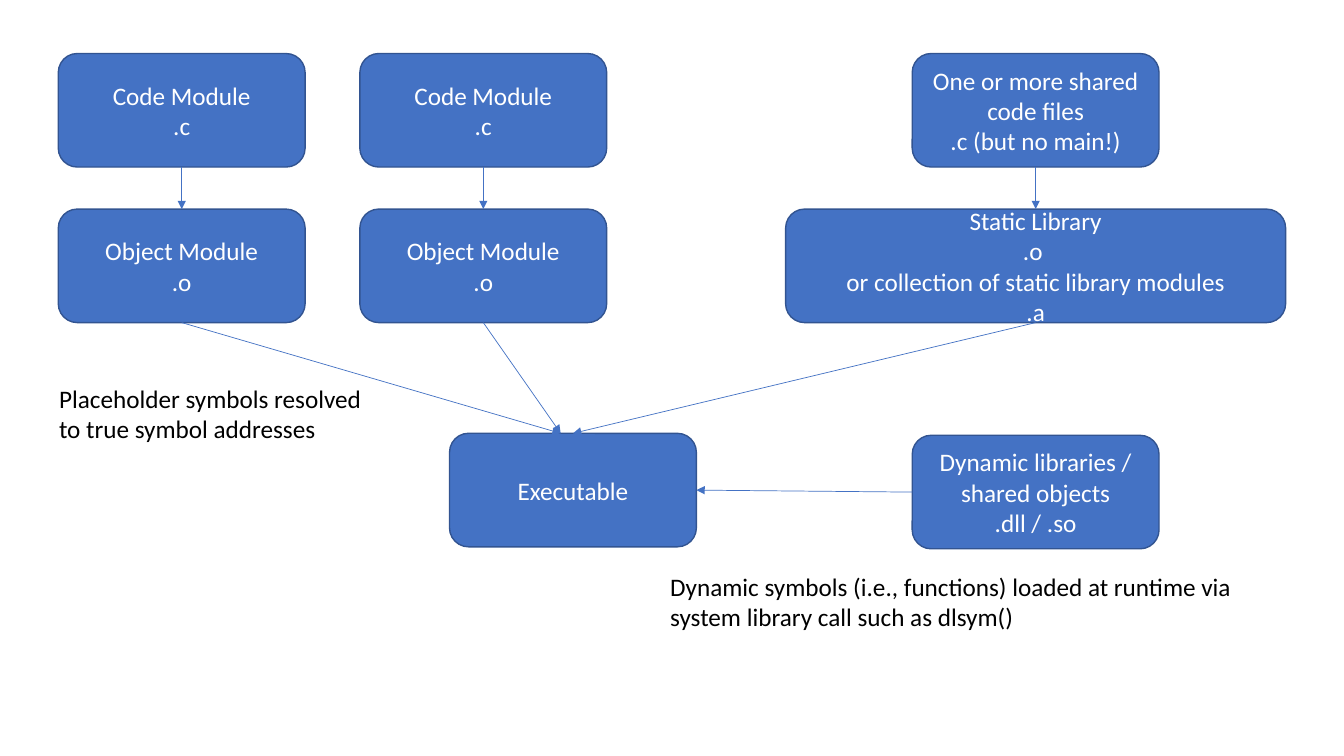
from lxml import etree
from pptx import Presentation
from pptx.dml.color import RGBColor
from pptx.enum.shapes import MSO_CONNECTOR, MSO_SHAPE
from pptx.enum.text import MSO_ANCHOR, MSO_AUTO_SIZE, PP_ALIGN
from pptx.oxml.ns import qn
from pptx.util import Cm, Pt

ROUNDED = MSO_SHAPE.ROUNDED_RECTANGLE
STRAIGHT = MSO_CONNECTOR.STRAIGHT
MIDDLE = MSO_ANCHOR.MIDDLE
LEFT, CENTER = PP_ALIGN.LEFT, PP_ALIGN.CENTER
TOP_SITE, LEFT_SITE, BOTTOM_SITE, RIGHT_SITE = range(4)

COLORS = {"box": "4472C4", "border": "325491", "light": "FFFFFF", "dark": "000000"}
FONT, FONT_SIZE = "Calibri", Pt(18)

# Content: measures in centimetres
BOX_WIDTH, WIDE_WIDTH, BOX_HEIGHT = 6.22, 12.6, 2.86
FIRST, SECOND, LIBRARY, PROGRAM = 4.58, 12.18, 26.1, 14.44  # column centres
SOURCE_TOP, OBJECT_TOP, PROGRAM_TOP, DYNAMIC_TOP = 1.35, 5.27, 10.92, 10.97

BOXES = {  # name: (column centre, top, width, lines)
    "code 1": (FIRST, SOURCE_TOP, BOX_WIDTH, ["Code Module", ".c"]),
    "code 2": (SECOND, SOURCE_TOP, BOX_WIDTH, ["Code Module", ".c"]),
    "object 1": (FIRST, OBJECT_TOP, BOX_WIDTH, ["Object Module", ".o"]),
    "object 2": (SECOND, OBJECT_TOP, BOX_WIDTH, ["Object Module", ".o"]),
    "static": (LIBRARY, OBJECT_TOP, WIDE_WIDTH,
               ["Static Library", ".o ", "or collection of static library modules", ".a"]),
    "executable": (PROGRAM, PROGRAM_TOP, BOX_WIDTH, ["Executable"]),
    "shared": (LIBRARY, SOURCE_TOP, BOX_WIDTH,
               ["One or more shared code files", ".c (but no main!)"]),
    "dynamic": (LIBRARY, DYNAMIC_TOP, BOX_WIDTH,
                ["Dynamic libraries / shared objects", ".dll / .so"]),
}
DOWN = (BOTTOM_SITE, TOP_SITE)
ARROWS = [  # from, to, connection sites, shift of the end
    ("code 1", "object 1", DOWN, 0),
    ("code 2", "object 2", DOWN, 0),
    ("shared", "static", DOWN, 0),
    ("object 1", "executable", DOWN, -0.31),
    ("object 2", "executable", DOWN, -0.31),
    ("static", "executable", DOWN, 0),
    ("dynamic", "executable", (LEFT_SITE, RIGHT_SITE), 0),
]
NOTES = [  # left, top, width, height, lines
    (1.24, 9.53, 8.2, 1.8, ["Placeholder symbols resolved", "to true symbol addresses"]),
    (16.64, 14.27, 14.83, 1.8, ["Dynamic symbols (i.e., functions) loaded at runtime via",
                                "system library call such as dlsym()"]),
]


def color(name):
    return RGBColor.from_string(COLORS[name])


def write(text_frame, lines, color_name, alignment):
    text_frame.text = "\n".join(lines)
    for paragraph in text_frame.paragraphs:
        paragraph.alignment = alignment
        for run in paragraph.runs:
            run.font.name, run.font.size = FONT, FONT_SIZE
            run.font.color.rgb = color(color_name)


def add_box(slide, center, top, width, lines):
    shape = slide.shapes.add_shape(
        ROUNDED, Cm(center - width / 2), Cm(top), Cm(width), Cm(BOX_HEIGHT))
    shape.shadow.inherit = False
    shape.fill.solid()
    shape.fill.fore_color.rgb = color("box")
    shape.line.color.rgb = color("border")
    shape.line.width = Pt(1)
    shape.text_frame.word_wrap = True
    shape.text_frame.vertical_anchor = MIDDLE
    write(shape.text_frame, lines, "light", CENTER)
    return shape


def add_arrow(slide, start, end, sites, shift):
    connector = slide.shapes.add_connector(STRAIGHT, 0, 0, 0, 0)
    connector.begin_connect(start, sites[0])
    if shift:  # ends beside the connection site
        connector.end_x = end.left + end.width // 2 + Cm(shift)
        connector.end_y = end.top
    else:
        connector.end_connect(end, sites[1])
    connector.line.color.rgb = color("box")
    connector.line.width = Pt(0.5)
    etree.SubElement(connector.line._get_or_add_ln(), qn("a:tailEnd"), type="triangle")
    etree.SubElement(connector._element.spPr, qn("a:effectLst"))


def add_note(slide, left, top, width, height, lines):
    text_box = slide.shapes.add_textbox(Cm(left), Cm(top), Cm(width), Cm(height))
    text_box.text_frame.word_wrap = False
    text_box.text_frame.auto_size = MSO_AUTO_SIZE.SHAPE_TO_FIT_TEXT
    write(text_box.text_frame, lines, "dark", LEFT)


presentation = Presentation()
presentation.slide_width, presentation.slide_height = Cm(33.87), Cm(19.05)
slide = presentation.slides.add_slide(presentation.slide_layouts[6])

# Boxes, then the arrows between them, then the notes
shapes = {name: add_box(slide, *box) for name, box in BOXES.items()}
for start, end, sites, shift in ARROWS:
    add_arrow(slide, shapes[start], shapes[end], sites, shift)
for note in NOTES:
    add_note(slide, *note)

presentation.save("out.pptx")
